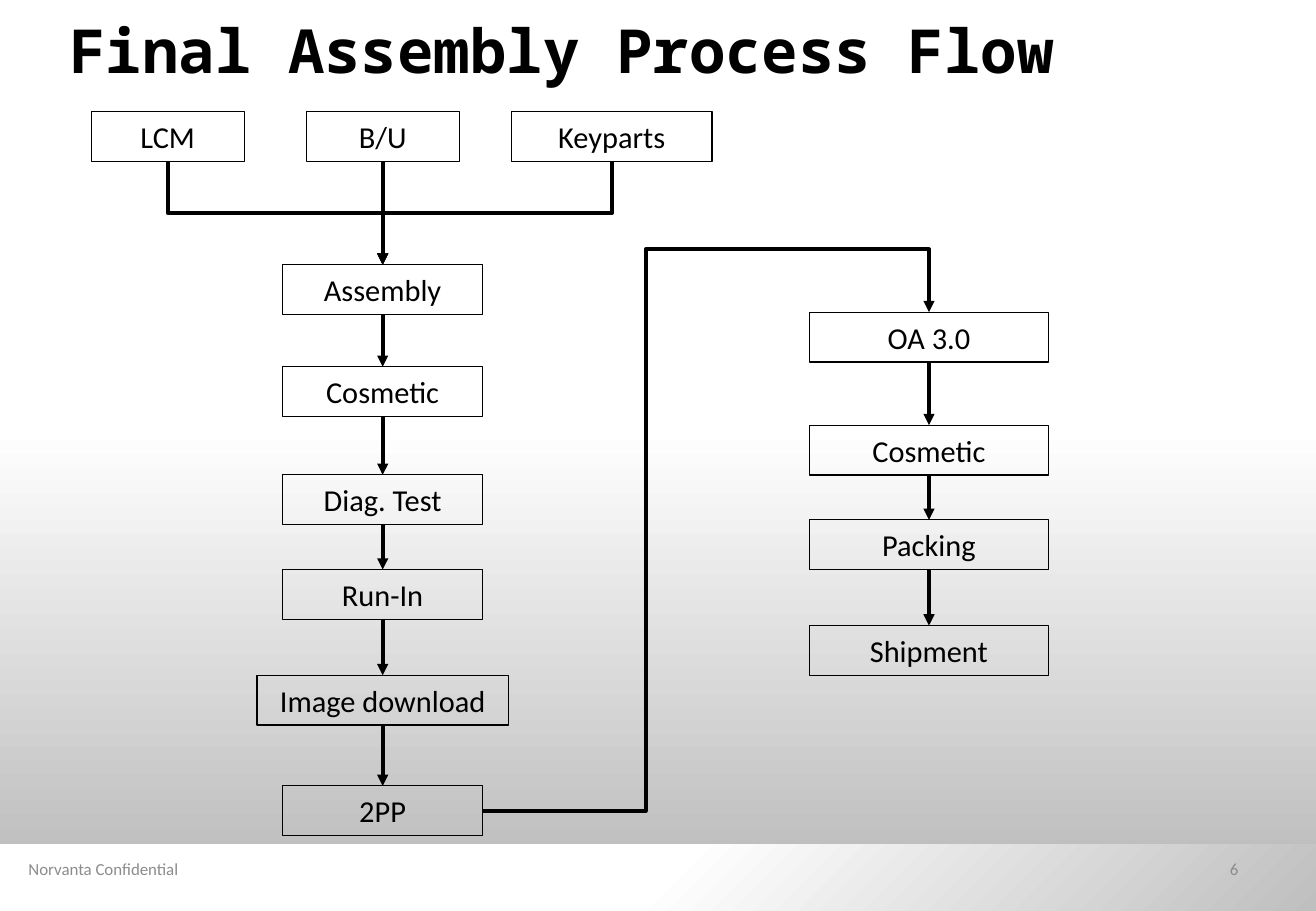
from itertools import pairwise
from lxml.etree import SubElement
from pptx import Presentation
from pptx.dml.color import RGBColor
from pptx.enum.shapes import MSO_CONNECTOR as Route, MSO_SHAPE as Preset
from pptx.enum.text import MSO_ANCHOR as Anchor, MSO_AUTO_SIZE as AutoSize, PP_ALIGN as Align
from pptx.oxml.ns import qn
from pptx.util import Inches, Pt

BLACK = RGBColor(0x00, 0x00, 0x00)
WHITE = RGBColor(0xFF, 0xFF, 0xFF)
SILVER = RGBColor(0xBF, 0xBF, 0xBF)
GREY = RGBColor(0x8C, 0x8C, 0x8C)

WIDTH, HEIGHT = Inches(10.83), Inches(7.5)
COLUMN, ROW = WIDTH / 100, HEIGHT / 100
BOX_ROWS = 5.47
TOP, LEFT, BOTTOM, RIGHT = 0, 1, 2, 3

INPUTS = [("LCM", 12.74, 11.63), ("B/U", 29.08, 11.63), ("Keyparts", 46.49, 15.24)]
INPUT_ROW = 12.27
BUILD_CENTRE, BUILD_WIDTH, DOWNLOAD_WIDTH = 29.08, 15.24, 19.11
BUILD_STEPS = [
    ("Assembly", 29.07, BUILD_WIDTH),
    ("Cosmetic", 40.27, BUILD_WIDTH),
    ("Diag. Test", 52.13, BUILD_WIDTH),
    ("Run-In", 62.53, BUILD_WIDTH),
    ("Image download", 74.13, DOWNLOAD_WIDTH),
    ("2PP", 86.27, BUILD_WIDTH),
]
SHIP_CENTRE, SHIP_WIDTH = 70.59, 18.19
SHIP_STEPS = [("OA 3.0", 34.27), ("Cosmetic", 46.67), ("Packing", 57.07), ("Shipment", 68.67)]

BOX_FONT = {"name": "Calibri", "size": Pt(18)}
FOOTER_FONT = {"name": "Calibri", "size": Pt(10)}
TITLE_FONT = {"name": "Noto Sans Mono", "size": Pt(36), "bold": True}


def grid(left, top, columns, rows):
    return [round(n) for n in (left * COLUMN, top * ROW, columns * COLUMN, rows * ROW)]


def write(shape, text, style, color, align):
    frame = shape.text_frame
    frame.word_wrap = True
    frame.auto_size = AutoSize.NONE
    frame.vertical_anchor = Anchor.MIDDLE
    para = frame.paragraphs[0]
    para.alignment = align
    span = para.add_run()
    span.text = text
    for name, value in style.items():
        setattr(span.font, name, value)
    span.font.color.rgb = color


def add_backdrop(page, place):
    panel = page.shapes.add_shape(Preset.RECTANGLE, *place)
    panel.shadow.inherit = False
    panel.line.fill.background()
    panel.fill.gradient()
    panel.fill.gradient_angle = 90
    for stop, color, position in zip(panel.fill.gradient_stops, (SILVER, WHITE), (0, 0.5)):
        stop.color.rgb = color
        stop.position = position
    return panel


def make_radial(panel):
    gradient = panel._element.spPr.find(qn("a:gradFill"))
    gradient.remove(gradient.find(qn("a:lin")))
    circle = SubElement(gradient, qn("a:path"), path="circle")
    SubElement(circle, qn("a:fillToRect"), l="100000", t="100000")


def add_box(page, text, centre, top, columns):
    box = page.shapes.add_shape(
        Preset.RECTANGLE, *grid(centre - columns / 2, top, columns, BOX_ROWS))
    box.shadow.inherit = False
    box.fill.background()
    box.line.color.rgb = BLACK
    box.line.width = Pt(0.75)
    write(box, text, BOX_FONT, BLACK, Align.CENTER)
    return box


def add_arrow(page, source, target, route=Route.STRAIGHT, leave=BOTTOM):
    arrow = page.shapes.add_connector(route, 0, 0, 0, 0)
    arrow.begin_connect(source, leave)
    arrow.end_connect(target, TOP)
    arrow.line.color.rgb = BLACK
    arrow.line.width = Pt(2.25)
    SubElement(arrow.line._get_or_add_ln(), qn("a:tailEnd"), type="triangle")
    SubElement(arrow._element.spPr, qn("a:effectLst"))
    return arrow


def set_bends(arrow, preset, *shares):
    geometry = arrow._element.spPr.find(qn("a:prstGeom"))
    geometry.set("prst", preset)
    guides = geometry.find(qn("a:avLst"))
    for number, share in enumerate(shares, 1):
        SubElement(guides, qn("a:gd"), name=f"adj{number}", fmla=f"val {round(share * 100000)}")


def add_merge_arrow(page, source, target):
    arrow = add_arrow(page, source, target, Route.ELBOW)
    rightward = arrow.end_x > arrow.begin_x
    left, top, across, down = arrow.left, arrow.top, arrow.width, arrow.height
    arrow.left = left + (across - down) // 2
    arrow.top = top + (down - across) // 2
    arrow.width, arrow.height = down, across
    frame = arrow._element.spPr.find(qn("a:xfrm"))
    frame.set("rot", str((270 if rightward else 90) * 60000))
    frame.set("flipH", "1" if rightward else "0")
    set_bends(arrow, "bentConnector3", 0.5)


def add_footer(page, text, place, align):
    box = page.shapes.add_textbox(*place)
    write(box, text, FOOTER_FONT, GREY, align)


def add_title(page, text):
    title = page.shapes.title
    title.left, title.top, title.width, title.height = grid(4.34, -0.4, 95.66, 11.6)
    write(title, text, TITLE_FONT, BLACK, Align.LEFT)
    page.shapes._spTree.append(title._element)


def main():
    deck = Presentation()
    deck.slide_width, deck.slide_height = WIDTH, HEIGHT
    page = deck.slides.add_slide(deck.slide_layouts[5])

    add_backdrop(page, grid(0, 0, 100, 93.73))
    make_radial(add_backdrop(page, grid(0, 92.67, 100, 7.33)))
    add_footer(page, "6", grid(71.65, 92.67, 23.36, 5.33), Align.RIGHT)
    add_footer(page, "Norvanta Confidential", grid(0, 92.67, 15.7, 5.33), Align.CENTER)

    inputs = [add_box(page, text, centre, INPUT_ROW, columns) for text, centre, columns in INPUTS]
    build = [add_box(page, text, BUILD_CENTRE, top, columns) for text, top, columns in BUILD_STEPS]
    ship = [add_box(page, text, SHIP_CENTRE, top, SHIP_WIDTH) for text, top in SHIP_STEPS]

    lcm, base_unit, keyparts = inputs
    for chain in ([base_unit, *build], ship):
        for source, target in pairwise(chain):
            add_arrow(page, source, target)
    for part in (lcm, keyparts):
        add_merge_arrow(page, part, build[0])
    handover = add_arrow(page, build[-1], ship[0], Route.ELBOW, RIGHT)
    set_bends(handover, "bentConnector4", 0.365, 1.126)

    add_title(page, "Final Assembly Process Flow")
    deck.save("out.pptx")


if __name__ == "__main__":
    main()
